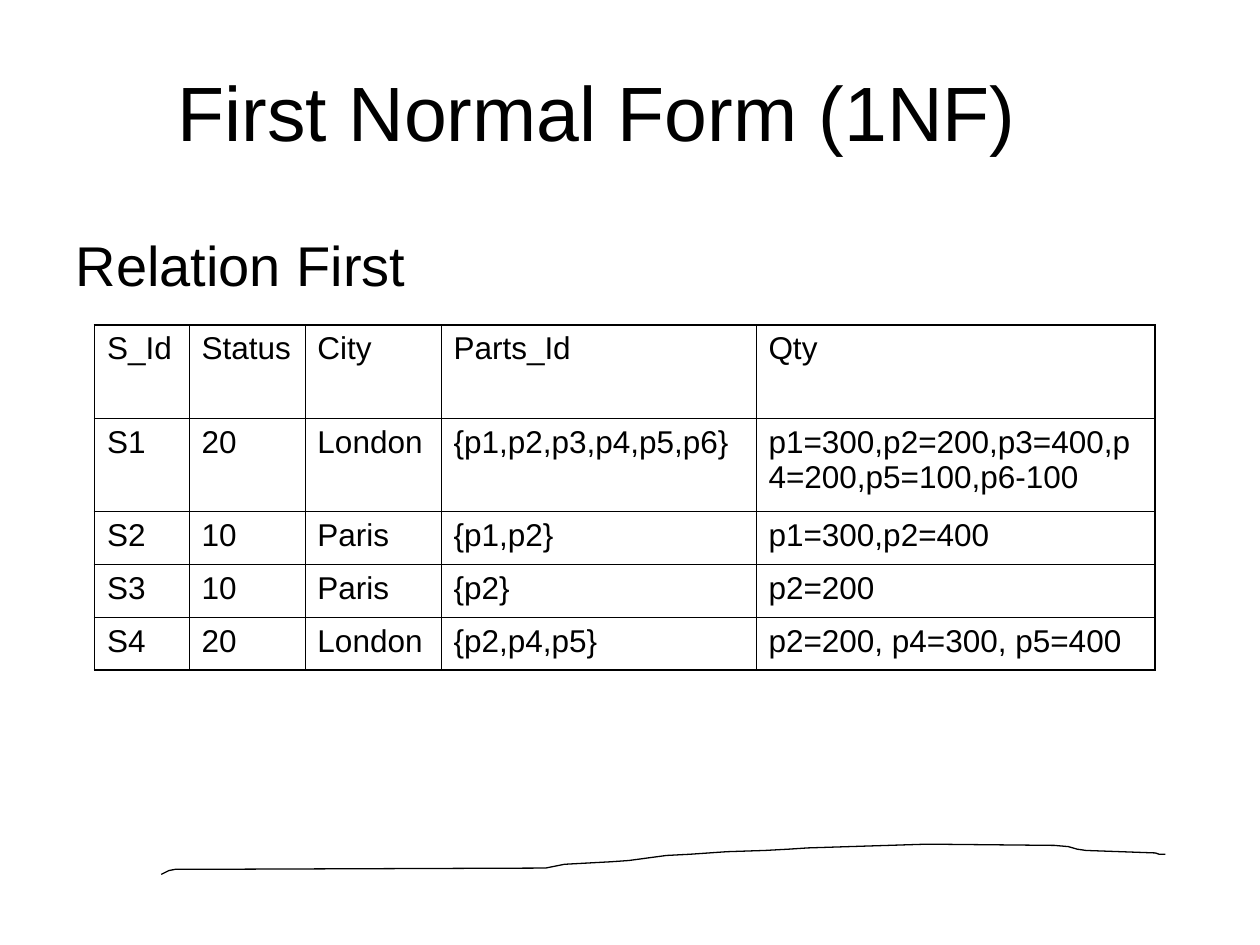
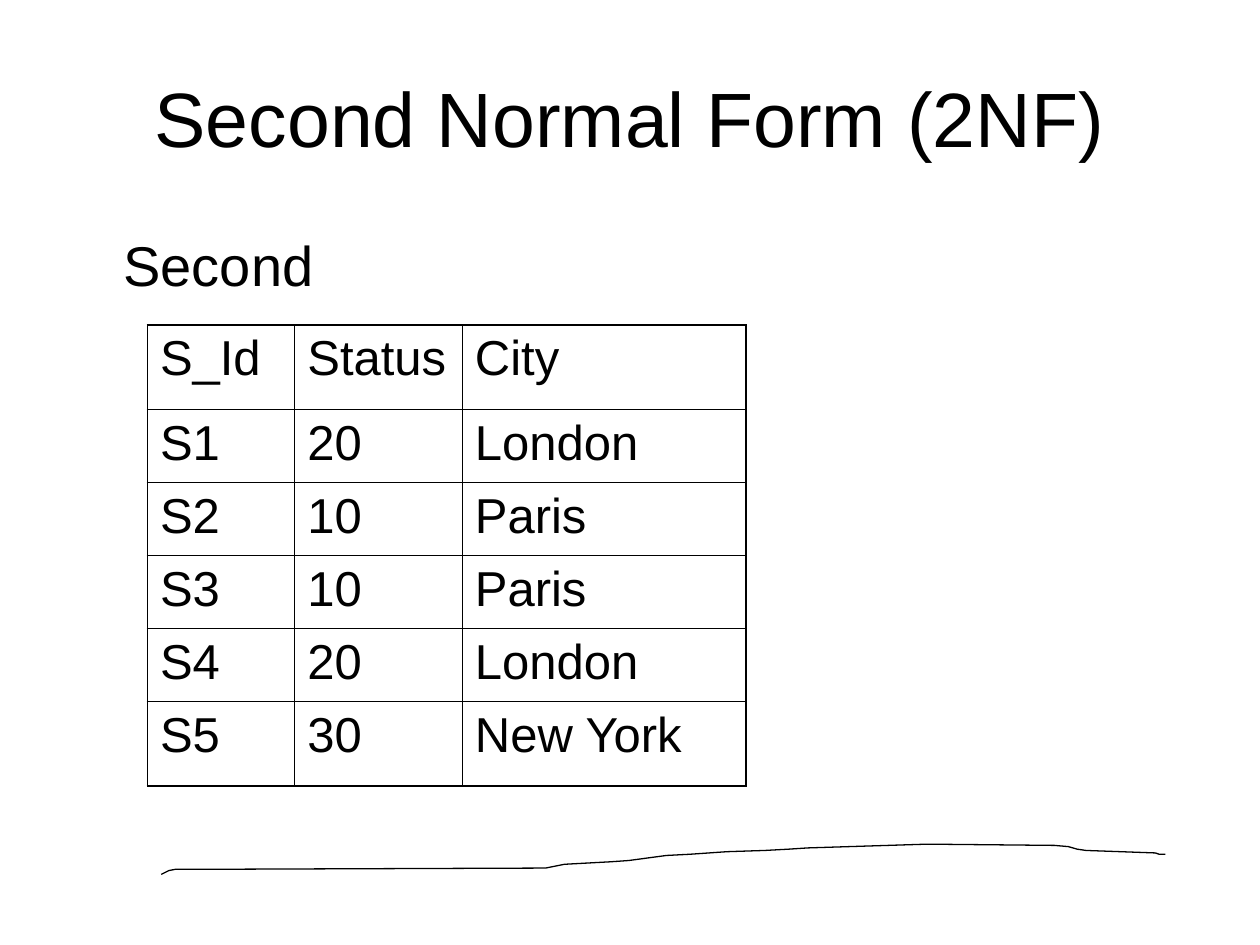
from lxml import etree
from pptx import Presentation
from pptx import util as u
from pptx.dml.color import RGBColor
from pptx.enum import text as t
from pptx.oxml import ns

INK, PAPER = "000000", "FFFFFF"
FONT = "Arial"
THIN, EDGE = 0.45, 1.08

PAGES = [
    dict(
        title="First Normal Form (1NF)", spot=(0.42, 0.25), inset=0.46,
        label="Relation First", indent=0,
        left=0.75, size=18,
        cols=[0.75, 0.92, 1.08, 2.5, 3.17],
        rows=[0.74, 0.74, 0.42, 0.42, 0.42],
        data=[
            ("S_Id", "Status", "City", "Parts_Id", "Qty"),
            ("S1", "20", "London", "{p1,p2,p3,p4,p5,p6}",
             "p1=300,p2=200,p3=400,p4=200,p5=100,p6-100"),
            ("S2", "10", "Paris", "{p1,p2}", "p1=300,p2=400"),
            ("S3", "10", "Paris", "{p2}", "p2=200"),
            ("S4", "20", "London", "{p2,p4,p5}", "p2=200, p4=300, p5=400"),
        ],
    ),
    dict(
        title="Second Normal Form (2NF)", spot=(0.5, 0.3), inset=0.1,
        label="Second", indent=0.38,
        left=1.17, size=28,
        cols=[1.17, 1.33, 2.25],
        rows=[0.67, 0.58, 0.58, 0.58, 0.58, 0.67],
        data=[
            ("S_Id", "Status", "City"),
            ("S1", "20", "London"),
            ("S2", "10", "Paris"),
            ("S3", "10", "Paris"),
            ("S4", "20", "London"),
            ("S5", "30", "New York"),
        ],
    ),
]

STROKE = [
    (1.28, 6.94), (1.34, 6.91), (1.39, 6.9), (1.49, 6.9), (4.33, 6.89),
    (4.48, 6.86), (4.85, 6.84), (4.99, 6.83), (5.14, 6.81), (5.29, 6.79),
    (5.48, 6.78), (5.77, 6.76), (6.07, 6.75), (6.26, 6.74), (6.41, 6.73),
    (7.36, 6.7), (8.37, 6.71), (8.48, 6.72), (8.55, 6.74), (8.62, 6.75),
    (9.17, 6.77), (9.2, 6.78), (9.25, 6.78),
]


def tint(code):
    return RGBColor.from_string(code)


def write(frame, words, size, align=t.PP_ALIGN.LEFT, indent=0):
    frame.word_wrap = True
    par = frame.paragraphs[0]
    par.text = words
    par.alignment = align
    props = par._p.get_or_add_pPr()
    props.set("marL", str(u.Inches(indent)))
    props.set("indent", "0")
    etree.SubElement(props, ns.qn("a:buNone"))
    par.space_before = u.Pt(0)
    font = par.runs[0].font
    font.name, font.size, font.bold = FONT, u.Pt(size), False
    font.color.rgb = tint(INK)


def place(shape, *box):
    shape.left, shape.top, shape.width, shape.height = map(u.Inches, box)
    shape.text_frame.auto_size = t.MSO_AUTO_SIZE.NONE


def rule(cell, sides):
    props = cell._tc.get_or_add_tcPr()
    for spot, (side, width) in enumerate(sides):
        line = etree.Element(ns.qn("a:ln" + side), w=str(u.Pt(width)))
        fill = etree.SubElement(line, ns.qn("a:solidFill"))
        etree.SubElement(fill, ns.qn("a:srgbClr"), val=INK)
        props.insert(spot, line)


def grid(slide, page):
    cols, rows = page["cols"], page["rows"]
    box = map(u.Inches, (page["left"], 2.58, sum(cols), sum(rows)))
    table = slide.shapes.add_table(len(rows), len(cols), *box).table
    table.first_row = table.horz_banding = False
    for col, width in zip(table.columns, cols):
        col.width = u.Inches(width)
    for row, high in zip(table.rows, rows):
        row.height = u.Inches(high)
    for r, line in enumerate(page["data"]):
        for c, words in enumerate(line):
            cell = table.cell(r, c)
            write(cell.text_frame, words, page["size"])
            cell.fill.background()
            outer = (("L", c == 0), ("R", c == len(cols) - 1),
                     ("T", r == 0), ("B", r == len(rows) - 1))
            rule(cell, [(s, EDGE if out else THIN) for s, out in outer])


def sweep(slide, master):
    points = [(u.Inches(x), u.Inches(y)) for x, y in STROKE]
    pen = slide.shapes.build_freeform(*points[0])
    pen.add_line_segments(points[1:], close=False)
    curve = pen.convert_to_shape()
    curve.shadow.inherit = False
    curve.fill.background()
    curve.line.color.rgb = tint(INK)
    curve.line.width = u.Pt(0.75)
    curve.element.nvSpPr.cNvPr.set("id", "20")
    master.shapes.element.append(curve.element)


def main():
    deck = Presentation()
    deck.slide_width, deck.slide_height = u.Inches(10), u.Inches(7.5)
    master = deck.slide_master
    master.background.fill.solid()
    master.background.fill.fore_color.rgb = tint(PAPER)
    for page in PAGES:
        slide = deck.slides.add_slide(deck.slide_layouts[1])
        title, body = slide.placeholders
        place(title, *page["spot"], 9, 1.25)
        title.text_frame.margin_right = u.Inches(page["inset"])
        title.text_frame.vertical_anchor = t.MSO_ANCHOR.MIDDLE
        write(title.text_frame, page["title"], 44, align=t.PP_ALIGN.CENTER)
        place(body, 0.5, 1.75, 9, 5.42)
        body.text_frame.margin_top = u.Inches(0.08)
        write(body.text_frame, page["label"], 32, indent=page["indent"])
        grid(slide, page)
    sweep(slide, master)
    deck.save("out.pptx")


if __name__ == "__main__":
    main()
